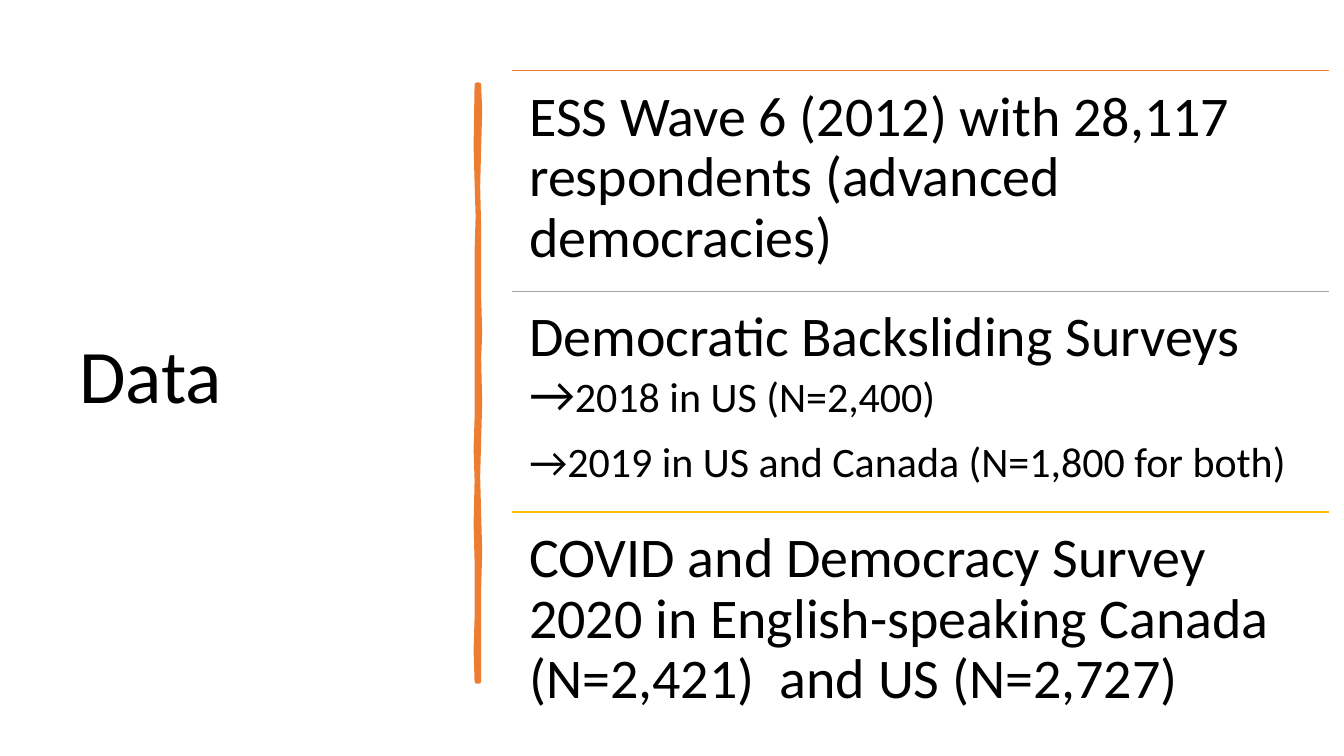
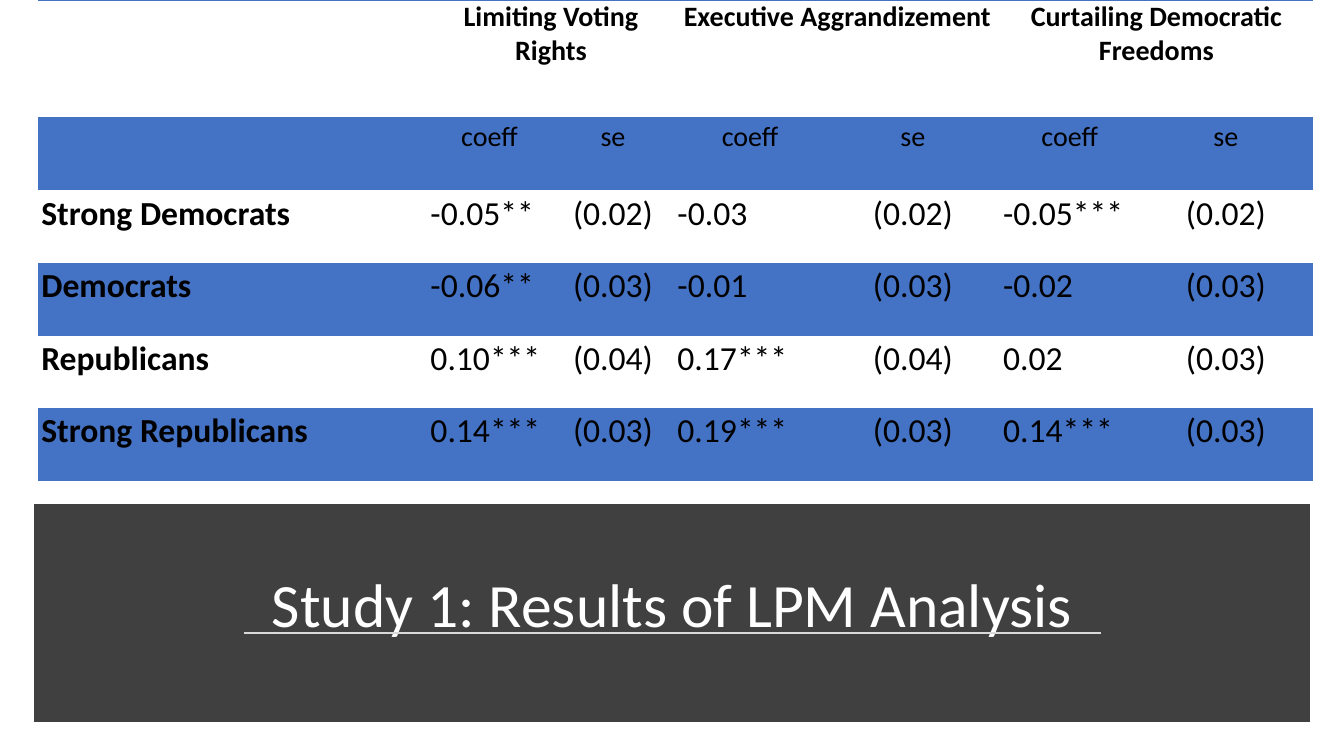
import pptx
import pptx.util
import pptx.dml.color
import pptx.enum.shapes
import pptx.enum.text
import pptx.oxml
import pptx.oxml.ns

Inches, Pt = pptx.util.Inches, pptx.util.Pt
SHAPE = pptx.enum.shapes.MSO_SHAPE
STRAIGHT = pptx.enum.shapes.MSO_CONNECTOR.STRAIGHT
ANCHOR = pptx.enum.text.MSO_ANCHOR
LEFT, CENTER = pptx.enum.text.PP_ALIGN.LEFT, pptx.enum.text.PP_ALIGN.CENTER

# Shared style
FONT = "Calibri"
BLACK, WHITE = "000000", "FFFFFF"
ORANGE, GRAY, GOLD, BLUE = "ED7D31", "A5A5A5", "FFC000", "4472C4"
BAND, RULE = "404040", "D9D9D9"
NO_STYLE = "{2D5ABB26-0587-4C30-8999-92F81FD0307C}"

# Data slide: each section is a rule colour and paragraphs of (text, size) runs
SECTIONS = [
    (ORANGE, [[("ESS Wave 6 (2012) with 28,117 respondents (advanced democracies)", 40)]]),
    (GRAY, [[("Democratic Backsliding Surveys ", 40), ("→", 36), ("2018 in US (N=2,400)", 30)],
            [("→2019 in US and Canada (N=1,800 for both)", 30)]]),
    (GOLD, [[("COVID and Democracy Survey 2020 in English-speaking Canada "
              "(N=2,421)  and US (N=2,727)", 40)]]),
]
SECTION_LEFT, SECTION_TOP, SECTION_W, SECTION_H = 5.08, 0.7, 8.1, 2.19

# Hand-drawn bar: down the right edge, back up the left edge
BAR = [(4.75, 0.84), (4.76, 1.1), (4.75, 1.46), (4.74, 1.85), (4.75, 2.26), (4.75, 2.94),
       (4.76, 3.3), (4.75, 3.56), (4.76, 4), (4.75, 4.36), (4.74, 4.73), (4.75, 5.1),
       (4.76, 5.47), (4.75, 5.84), (4.75, 6.76),
       (4.73, 6.76), (4.72, 6.45), (4.73, 6.13), (4.73, 5.57), (4.72, 5.2), (4.73, 4.77),
       (4.72, 4.45), (4.73, 4.15), (4.73, 2.5), (4.74, 2.15), (4.73, 1.81), (4.72, 1.45),
       (4.73, 0.84)]

# Results slide
MEASURES = ["Limiting Voting Rights", "Executive Aggrandizement", "Curtailing Democratic Freedoms"]
RESULTS = [
    ["", "coeff", "se", "coeff", "se", "coeff", "se"],
    ["Strong Democrats", "-0.05**", "(0.02)", "-0.03", "(0.02)", "-0.05***", "(0.02)"],
    ["Democrats", "-0.06**", "(0.03)", "-0.01", "(0.03)", "-0.02", "(0.03)"],
    ["Republicans", "0.10***", "(0.04)", "0.17***", "(0.04)", "0.02", "(0.03)"],
    ["Strong Republicans", "0.14***", "(0.03)", "0.19***", "(0.03)", "0.14***", "(0.03)"],
]
COL_WIDTHS = [3.86, 1.23, 1.22, 1.5, 1.73, 1.38, 1.72]
HEADER_H, ROW_H = 1.17, 0.72


def rgb(color):
    return pptx.dml.color.RGBColor.from_string(color)


def append_xml(parent, tag, attributes="", content=""):
    ns = pptx.oxml.ns.nsdecls("a")
    parent.append(pptx.oxml.parse_xml(f"<a:{tag} {ns} {attributes}>{content}</a:{tag}>"))


def paint(sp, color, width):
    sp.shadow.inherit = False
    sp.fill.solid()
    sp.fill.fore_color.rgb = rgb(color)
    sp.line.color.rgb = rgb(color)
    sp.line.width = Pt(width)


def add_rule(slide, x, y, length, color, width):
    line = slide.shapes.add_connector(STRAIGHT, Inches(x), Inches(y), Inches(x + length), Inches(y))
    line.line.color.rgb = rgb(color)
    line.line.width = Pt(width)
    append_xml(line._element.spPr, "effectLst")


def write(p, runs, color=BLACK, bold=False, align=LEFT, spacing=0.9, after=0):
    p.alignment, p.line_spacing, p.space_after = align, spacing, Pt(after)
    for text, size in runs:
        r = p.add_run()
        r.text = text
        r.font.name, r.font.size, r.font.bold = FONT, Pt(size), bold
        r.font.color.rgb = rgb(color)


def add_text(slide, box, paragraphs, anchor=ANCHOR.TOP, margin=None, **style):
    tf = slide.shapes.add_textbox(*map(Inches, box)).text_frame
    tf.word_wrap, tf.vertical_anchor = True, anchor
    if margin is not None:
        tf.margin_left = tf.margin_right = tf.margin_top = tf.margin_bottom = Inches(margin)
    for i, runs in enumerate(paragraphs):
        write(tf.add_paragraph() if i else tf.paragraphs[0], runs, **style)


def add_border(cell, side):
    append_xml(cell._tc.get_or_add_tcPr(), side, 'w="12700"',
               f'<a:solidFill><a:srgbClr val="{BLUE}"/></a:solidFill>')


def fill_cell(cell, text, size, **style):
    cell.margin_left = cell.margin_right = Inches(0.03)
    cell.margin_top = cell.margin_bottom = 0
    if text:
        write(cell.text_frame.paragraphs[0], [(text, size)], **style)


def build_data(slide):
    add_text(slide, (0.69, 0.7, 3.74, 6.11), [[("Data", 54)]], ANCHOR.MIDDLE)

    # Vertical bar
    points = [(Inches(x), Inches(y)) for x, y in BAR]
    outline = slide.shapes.build_freeform(*points[0])
    outline.add_line_segments(points[1:], close=True)
    paint(outline.convert_to_shape(), ORANGE, 3.25)

    # Ruled sections
    for i, (color, paragraphs) in enumerate(SECTIONS):
        top = SECTION_TOP + i * SECTION_H
        add_rule(slide, SECTION_LEFT, top, SECTION_W, color, 1)
        add_text(slide, (SECTION_LEFT, top, SECTION_W, SECTION_H), paragraphs,
                 margin=0.17, after=13)


def build_results(slide):
    # Title band with square corners
    band = slide.shapes.add_shape(SHAPE.RECTANGLE, *map(Inches, (0.41, 5.07, 12.51, 2.02)))
    paint(band, BAND, 10)
    append_xml(band._element.spPr.find(pptx.oxml.ns.qn("a:ln")), "miter", 'lim="800000"')
    add_text(slide, (0.58, 5.3, 12.18, 1.11), [[("Study 1: Results of LPM Analysis", 44)]],
             ANCHOR.BOTTOM, color=WHITE, align=CENTER, after=6)

    # Table grid
    heights = [HEADER_H] + [ROW_H] * len(RESULTS)
    frame = slide.shapes.add_table(len(heights), len(COL_WIDTHS), Inches(0.38), Inches(0),
                                   Inches(sum(COL_WIDTHS)), Inches(sum(heights)))
    table = frame.table
    table.first_row = table.horz_banding = False
    table._tbl.tblPr.find(pptx.oxml.ns.qn("a:tableStyleId")).text = NO_STYLE
    for col, width in zip(table.columns, COL_WIDTHS):
        col.width = Inches(width)
    for row, height in zip(table.rows, heights):
        row.height = Inches(height)

    # Header: each measure spans its coeff and se columns
    for c in range(len(COL_WIDTHS)):
        for side in ("lnT", "lnB"):
            add_border(table.cell(0, c), side)
    for i, measure in enumerate(MEASURES):
        c = 1 + 2 * i
        table.cell(0, c).merge(table.cell(0, c + 1))
        fill_cell(table.cell(0, c), measure, 20, bold=True, align=CENTER, spacing=1.0)

    # Body: every other row blue
    for i, values in enumerate(RESULTS):
        for c, text in enumerate(values):
            cell = table.cell(i + 1, c)
            centered = i == 0 or (c > 0 and c % 2 == 0)
            fill_cell(cell, text, 24 if i else 20, bold=c == 0,
                      align=CENTER if centered else LEFT, spacing=1.07)
            if i == len(RESULTS) - 1:
                add_border(cell, "lnB")
            if i % 2 == 0:
                cell.fill.solid()
                cell.fill.fore_color.rgb = rgb(BLUE)

    add_rule(slide, 2.42, 6.28, 8.5, RULE, 1.75)


def main():
    prs = pptx.Presentation()
    prs.slide_width, prs.slide_height = Inches(13.33), Inches(7.5)
    for build in (build_data, build_results):
        build(prs.slides.add_slide(prs.slide_layouts[6]))
    prs.save("out.pptx")


if __name__ == "__main__":
    main()
